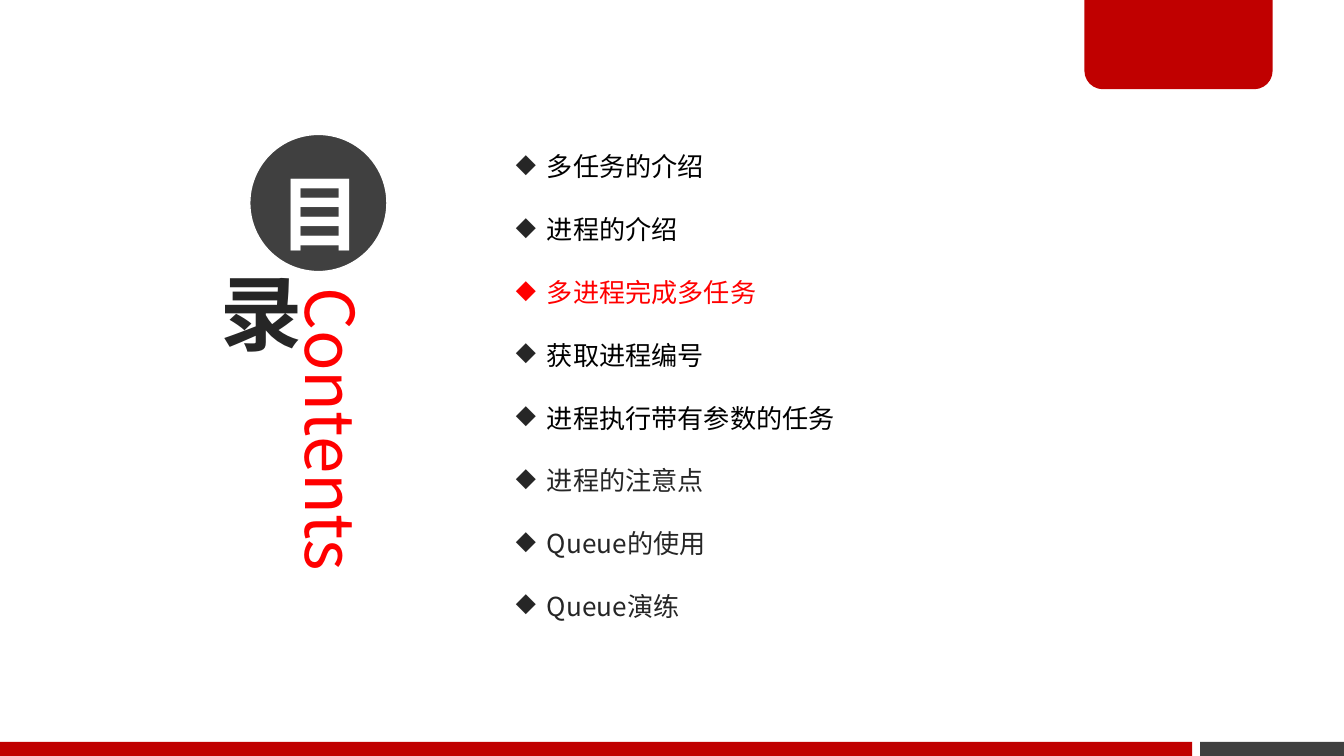
from lxml.etree import SubElement
from pptx import Presentation
from pptx.dml.color import RGBColor
from pptx.enum.shapes import MSO_SHAPE as Shape
from pptx.enum.text import MSO_ANCHOR as Anchor, MSO_AUTO_SIZE as AutoSize, PP_ALIGN as Align
from pptx.oxml import parse_xml
from pptx.oxml.ns import nsdecls, qn
from pptx.util import Pt

RED = RGBColor(0xC0, 0x00, 0x00)
BRIGHT_RED = RGBColor(0xFF, 0x00, 0x00)
GRAY = RGBColor(0x40, 0x40, 0x40)
DARK = RGBColor(0x26, 0x26, 0x26)
BLACK = RGBColor(0x00, 0x00, 0x00)
WHITE = RGBColor(0xFF, 0xFF, 0xFF)

TOPICS = [
    ("多任务的介绍", BLACK, DARK),
    ("进程的介绍", BLACK, DARK),
    ("多进程完成多任务", BRIGHT_RED, BRIGHT_RED),
    ("获取进程编号", BLACK, DARK),
    ("进程执行带有参数的任务", BLACK, DARK),
    ("进程的注意点", DARK, DARK),
    ("Queue的使用", DARK, DARK),
    ("Queue演练", DARK, DARK),
]


class ContentsPage:
    typeface = "Noto Sans CJK SC"

    def __init__(self, deck):
        self.page = deck.slides.add_slide(deck.slide_layouts[6])

    def shape(self, kind, left, top, width, height, fill=None):
        shape = self.page.shapes.add_shape(kind, Pt(left), Pt(top), Pt(width), Pt(height))
        shape.shadow.inherit = False
        shape.line.fill.background()
        if fill is None:
            shape.fill.background()
        else:
            shape.fill.solid()
            shape.fill.fore_color.rgb = fill
        return shape

    def textbox(self, left, top, width, height):
        box = self.page.shapes.add_textbox(Pt(left), Pt(top), Pt(width), Pt(height))
        box.text_frame.word_wrap = True
        return box

    def insets(self, frame, bottom=3):
        frame.margin_left = frame.margin_right = Pt(5)
        frame.margin_top, frame.margin_bottom = Pt(3), Pt(bottom)

    def styled_text(self, para, text, size, color, bold=False):
        para.text = text
        font = para.font
        font.name, font.size, font.bold = self.typeface, Pt(size), bold
        font.color.rgb = color
        properties = para._p.pPr.find(qn("a:defRPr"))
        SubElement(properties, qn("a:ea"), typeface=self.typeface)
        return properties

    def character(self, circle, text, color, bottom=3):
        frame = circle.text_frame
        frame.word_wrap = True
        frame.vertical_anchor = Anchor.MIDDLE
        self.insets(frame, bottom)
        para = frame.paragraphs[0]
        para.alignment = Align.CENTER
        return para, self.styled_text(para, text, 44, color, bold=True)

    def vertical_text(self, text, left, top, width, height):
        box = self.textbox(left, top, width, height)
        box.element.txBody.bodyPr.set("vert", "eaVert")
        self.insets(box.text_frame)
        self.styled_text(box.text_frame.paragraphs[0], text, 36, BRIGHT_RED)

    def bullet_list(self, topics, left, top, width, height):
        frame = self.textbox(left, top, width, height).text_frame
        frame.auto_size = AutoSize.SHAPE_TO_FIT_TEXT
        for index, (text, color, bullet_color) in enumerate(topics):
            para = frame.add_paragraph() if index else frame.paragraphs[0]
            para.line_spacing = 2.0
            properties = para._p.get_or_add_pPr()
            properties.set("marL", str(Pt(13.5)))
            properties.set("indent", str(-Pt(13.5)))
            bullet = SubElement(properties, qn("a:buClr"))
            SubElement(bullet, qn("a:srgbClr"), val=str(bullet_color))
            SubElement(properties, qn("a:buChar"), char="◆")
            self.styled_text(para, " " + text, 14, color)


def main():
    deck = Presentation()
    deck.slide_width, deck.slide_height = Pt(720), Pt(405)
    contents = ContentsPage(deck)

    contents.shape(Shape.RECTANGLE, 643, 397.5, 77, 7.5, GRAY)
    tab = contents.shape(Shape.ROUND_2_SAME_RECTANGLE, 581, -1.5, 100.8, 49.3, RED)
    tab.adjustments[0], tab.adjustments[1] = 0, 0.2
    contents.shape(Shape.RECTANGLE, 0, 397.5, 638.7, 7.5, RED)

    contents.vertical_text("Contents", 154, 151, 50.5, 208)

    disc = contents.shape(Shape.OVAL, 133.8, 72, 73.5, 73.5, GRAY)
    disc.line.color.rgb = WHITE
    disc.line.width = Pt(0)
    para, _ = contents.character(disc, "目", WHITE, bottom=11)
    para.line_spacing = Pt(70)

    ring = contents.shape(Shape.OVAL, 105, 138.2, 57.6, 57.6)
    _, properties = contents.character(ring, "录", DARK)
    properties.insert(0, parse_xml(
        f'<a:ln {nsdecls("a")} w="{Pt(0.25)}"><a:solidFill>'
        f'<a:srgbClr val="{WHITE}"/></a:solidFill></a:ln>'))

    contents.bullet_list(TOPICS, 269.3, 60.5, 340, 273.6)
    deck.save("out.pptx")


if __name__ == "__main__":
    main()
